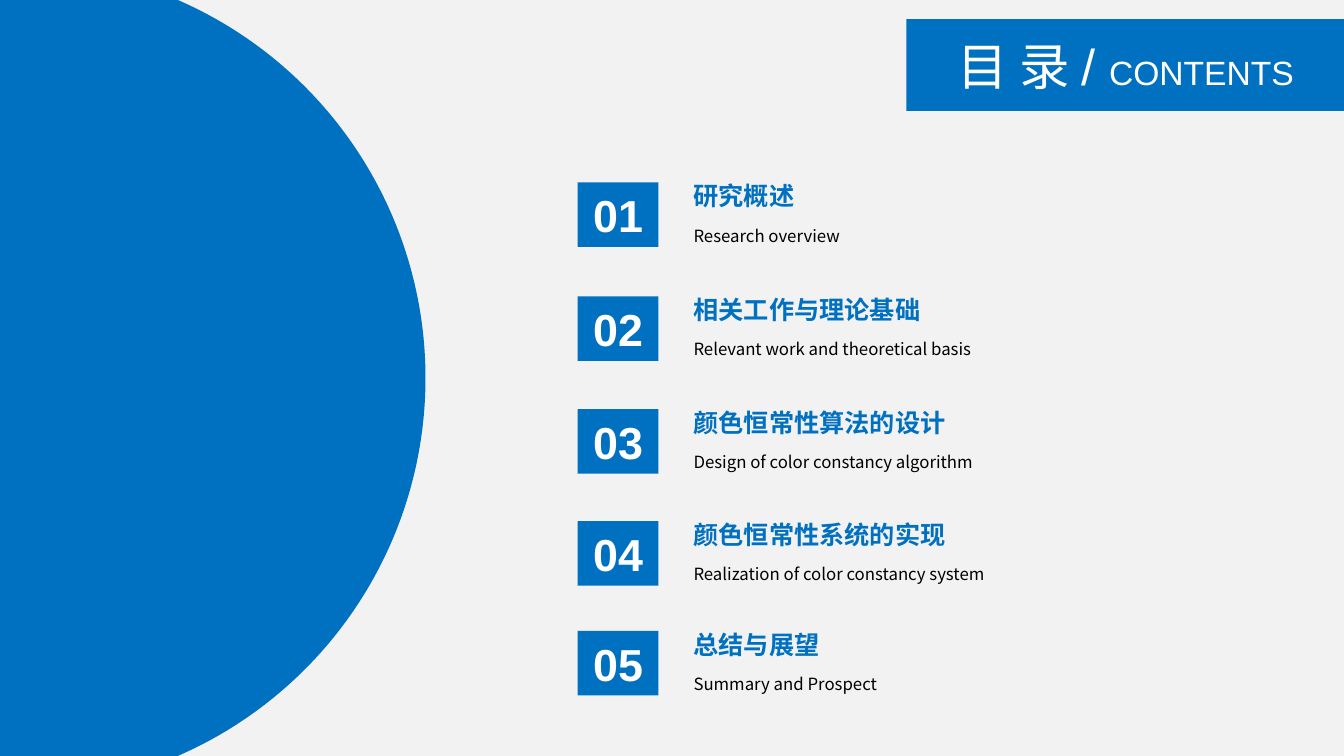
from dataclasses import dataclass

from lxml import etree
from pptx import Presentation
from pptx.dml.color import RGBColor
from pptx.enum.shapes import MSO_SHAPE as Preset
from pptx.enum.text import MSO_ANCHOR as Anchor
from pptx.enum.text import MSO_AUTO_SIZE as AutoSize
from pptx.enum.text import PP_ALIGN as Align
from pptx.oxml.ns import qn
from pptx.util import Inches, Pt


@dataclass(frozen=True)
class Theme:
    blue: RGBColor = RGBColor(0x00, 0x70, 0xC0)
    background: RGBColor = RGBColor(0xF2, 0xF2, 0xF2)
    white: RGBColor = RGBColor(0xFF, 0xFF, 0xFF)
    black: RGBColor = RGBColor(0x00, 0x00, 0x00)
    latin_font: str = "Arial"
    chinese_font: str = "Noto Sans CJK SC"
    heading_size: int = 36
    subheading_size: int = 24
    number_size: int = 32
    title_size: int = 18
    caption_size: int = 12


THEME = Theme()

# Top of the number box, Chinese title, English caption
CHAPTERS = [
    (1.81, "研究概述", "Research overview"),
    (2.94, "相关工作与理论基础", "Relevant work and theoretical basis"),
    (4.06, "颜色恒常性算法的设计", "Design of color constancy algorithm"),
    (5.17, "颜色恒常性系统的实现", "Realization of color constancy system"),
    (6.26, "总结与展望", "Summary and Prospect"),
]


def format_run(run, size, color, font_name, bold=False):
    font = run.font
    font.name, font.size, font.bold = font_name, Pt(size), bold
    font.color.rgb = color
    east_asian = etree.SubElement(run._r.get_or_add_rPr(), qn("a:ea"))
    east_asian.set("typeface", THEME.chinese_font)


def add_block(slide, preset, left, top, width, height):
    shape = slide.shapes.add_shape(
        preset, Inches(left), Inches(top), Inches(width), Inches(height))
    shape.shadow.inherit = False
    shape.fill.solid()
    shape.fill.fore_color.rgb = THEME.blue
    shape.line.fill.background()
    return shape


def add_text_box(slide, left, top, width, height, text):
    box = slide.shapes.add_textbox(
        Inches(left), Inches(top), Inches(width), Inches(height))
    frame = box.text_frame
    frame.word_wrap = True
    frame.auto_size = AutoSize.SHAPE_TO_FIT_TEXT
    frame.vertical_anchor = Anchor.MIDDLE
    frame.text = text
    return frame.paragraphs[0]


def add_heading(slide):
    add_block(slide, Preset.RECTANGLE, 8.99, 0.19, 4.34, 0.91)
    paragraph = add_text_box(slide, 9.34, 0.29, 3.65, 0.71, "目 录 / ")
    paragraph.alignment = Align.CENTER
    paragraph.add_run().text = "CONTENTS"
    sizes = (THEME.heading_size, THEME.subheading_size)
    for run, size in zip(paragraph.runs, sizes):
        format_run(run, size, THEME.white, THEME.latin_font)


def add_chapter(slide, number, top, title, caption):
    # Number box
    block = add_block(slide, Preset.RECTANGLE, 5.73, top, 0.8, 0.64)
    frame = block.text_frame
    frame.vertical_anchor = Anchor.MIDDLE
    frame.text = f"{number:02d}"
    paragraph = frame.paragraphs[0]
    paragraph.alignment = Align.CENTER
    format_run(paragraph.runs[0], THEME.number_size, THEME.white,
               THEME.latin_font, bold=True)

    # Title and caption
    paragraph = add_text_box(slide, 6.78, top - 0.07, 2.72, 0.4, title)
    format_run(paragraph.runs[0], THEME.title_size, THEME.blue,
               THEME.chinese_font, bold=True)
    paragraph = add_text_box(slide, 6.78, top + 0.29, 5.29, 0.37, caption)
    paragraph.line_spacing = 1.5
    format_run(paragraph.runs[0], THEME.caption_size, THEME.black,
               THEME.chinese_font)


def main():
    presentation = Presentation()
    presentation.slide_width = Inches(13.33)
    presentation.slide_height = Inches(7.5)
    slide = presentation.slides.add_slide(presentation.slide_layouts[6])
    slide.background.fill.solid()
    slide.background.fill.fore_color.rgb = THEME.background

    # Large circle running off the left edge
    add_block(slide, Preset.OVAL, -3.96, -0.34, 8.18, 8.18)

    add_heading(slide)
    for number, (top, title, caption) in enumerate(CHAPTERS, start=1):
        add_chapter(slide, number, top, title, caption)

    presentation.save("out.pptx")


if __name__ == "__main__":
    main()
